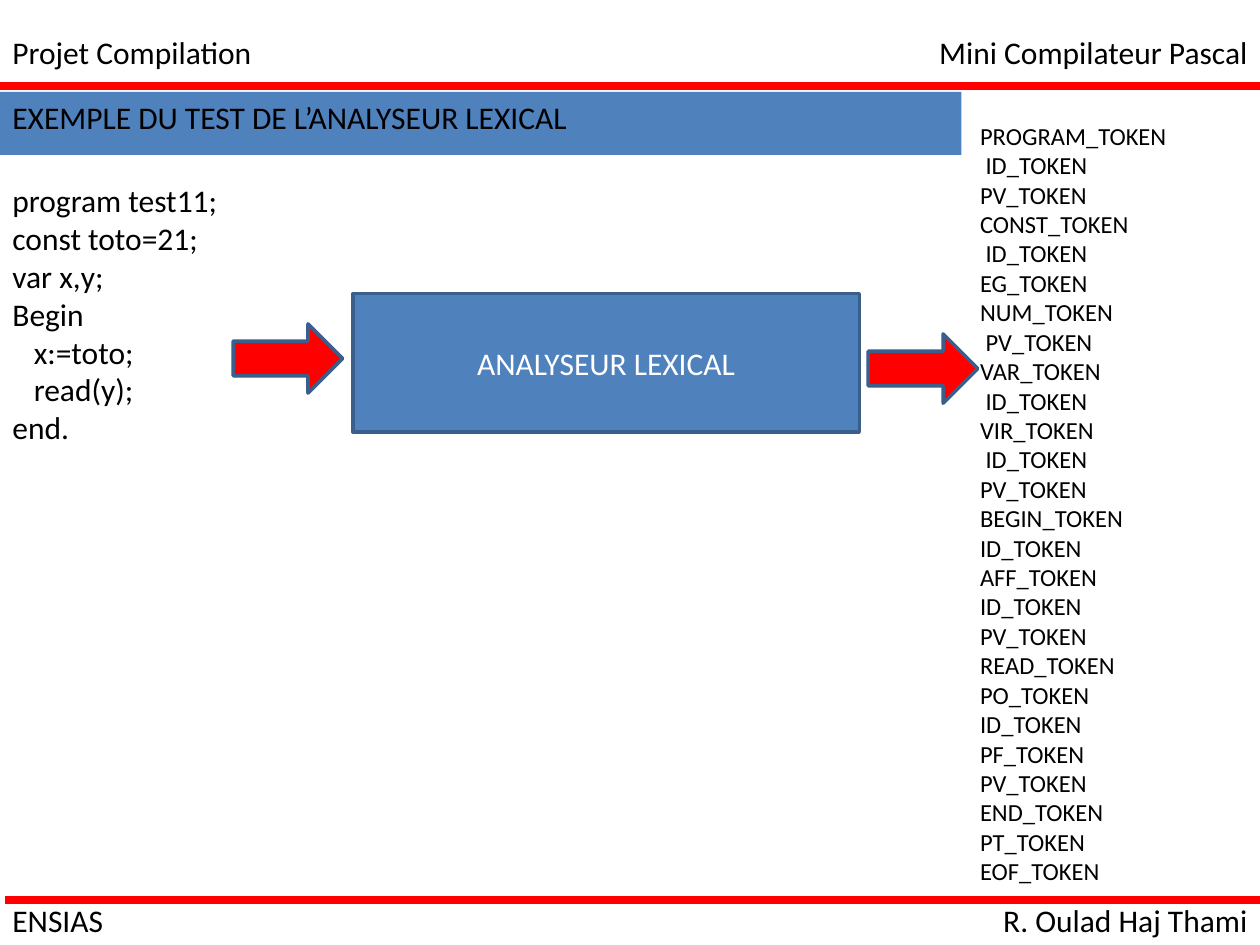
from dataclasses import dataclass

from lxml.etree import SubElement
from pptx import Presentation
from pptx.dml.color import RGBColor
from pptx.enum.shapes import MSO_CONNECTOR as Connector, MSO_SHAPE as Preset
from pptx.enum.text import MSO_ANCHOR as Anchor, PP_ALIGN as Align
from pptx.oxml.ns import qn
from pptx.util import Inches, Pt

COLORS = {"blue": "4F81BD", "edge": "3A5F8C", "red": "FF0000",
          "black": "000000", "white": "FFFFFF"}
FONT = "Calibri"
SPACE_EM = 0.226  # width of a space, in ems

PROGRAM = ["program test11;", "const toto=21;", "var x,y;", "Begin",
           "   x:=toto;", "   read(y);", "end."]
TOKENS = ["PROGRAM", " ID", "PV", "CONST", " ID", "EG", "NUM", " PV", "VAR",
          " ID", "VIR", " ID", "PV", "BEGIN", "ID", "AFF", "ID", "PV", "READ",
          "PO", "ID", "PF", "PV", "END", "PT", "EOF"]


@dataclass
class Label:
    left: float
    top: float
    width: float
    height: float
    lines: list[str]
    size: int = 18
    align: Align = Align.LEFT
    wrap: bool = False


@dataclass
class Block:
    preset: Preset
    left: float
    top: float
    width: float
    height: float
    fill: str
    outlined: bool = True
    text: str = ""
    ink: str = "white"
    align: Align = Align.CENTER
    anchor: Anchor = Anchor.MIDDLE


LABELS = [
    Label(0, 0.21, 2.12, 0.4, ["Projet Compilation"]),
    Label(7.32, 0.21, 2.68, 0.4, ["Mini Compilateur Pascal"], align=Align.RIGHT),
    Label(0, 7.1, 0.93, 0.4, ["ENSIAS"]),
    Label(7.84, 7.1, 2.16, 0.4, ["R. Oulad Haj Thami"], align=Align.RIGHT),
    Label(0, 1.39, 2.31, 2.93, PROGRAM, wrap=True),
    Label(7.68, 0.91, 1.7, 6.23, [f"{name}_TOKEN" for name in TOKENS], 14, wrap=True),
]
BLOCKS = [
    Block(Preset.RECTANGLE, 0, 0.73, 7.63, 0.5, "blue", False,
          "EXEMPLE DU TEST DE L’ANALYSEUR LEXICAL", "black", Align.LEFT, Anchor.TOP),
    Block(Preset.RECTANGLE, 2.8, 2.33, 4.02, 1.1, "blue", text="ANALYSEUR LEXICAL"),
    Block(Preset.RIGHT_ARROW, 1.85, 2.57, 0.87, 0.55, "red"),
    Block(Preset.RIGHT_ARROW, 6.89, 2.65, 0.87, 0.55, "red"),
]


def color(name: str) -> RGBColor:
    return RGBColor.from_string(COLORS[name])


def write(frame, lines: list[str], size: int, ink: str, align: Align) -> None:
    """Write one paragraph a line, turning leading spaces into an indent."""
    frame.text = "\n".join(line.strip() for line in lines)
    for para, line in zip(frame.paragraphs, lines):
        para.alignment = align
        depth = len(line) - len(line.lstrip())
        if depth:
            properties = para._p.get_or_add_pPr()
            properties.set("marL", str(int(Pt(depth * SPACE_EM * size))))
            properties.set("indent", "0")
        for span in para.runs:
            span.font.name = FONT
            span.font.size = Pt(size)
            span.font.color.rgb = color(ink)


def add_label(page, label: Label) -> None:
    box = page.shapes.add_textbox(Inches(label.left), Inches(label.top),
                                  Inches(label.width), Inches(label.height))
    box.text_frame.word_wrap = label.wrap
    write(box.text_frame, label.lines, label.size, "black", label.align)


def add_block(page, block: Block) -> None:
    shape = page.shapes.add_shape(block.preset, Inches(block.left), Inches(block.top),
                                  Inches(block.width), Inches(block.height))
    shape.shadow.inherit = False
    shape.fill.solid()
    shape.fill.fore_color.rgb = color(block.fill)
    if block.outlined:
        shape.line.color.rgb = color("edge")
        shape.line.width = Pt(2)
    else:
        shape.line.fill.background()
    if block.text:
        shape.text_frame.word_wrap = True
        shape.text_frame.vertical_anchor = block.anchor
        write(shape.text_frame, [block.text], 18, block.ink, block.align)


def add_rule(page, left: float, top: float) -> None:
    rule = page.shapes.add_connector(Connector.STRAIGHT, Inches(left), Inches(top),
                                     Inches(10), Inches(top))
    rule.line.color.rgb = color("red")
    rule.line.width = Pt(4.5)
    SubElement(rule._element.spPr, qn("a:effectLst"))


deck = Presentation()
deck.slide_width, deck.slide_height = Inches(10), Inches(7.5)
page = deck.slides.add_slide(deck.slide_layouts[6])

# Title band, analyser and arrows
for block in BLOCKS:
    add_block(page, block)

# Header and footer rules
add_rule(page, 0, 0.68)
add_rule(page, 0.04, 7.14)

# Header, footer, program and token list
for label in LABELS:
    add_label(page, label)

deck.save("out.pptx")
